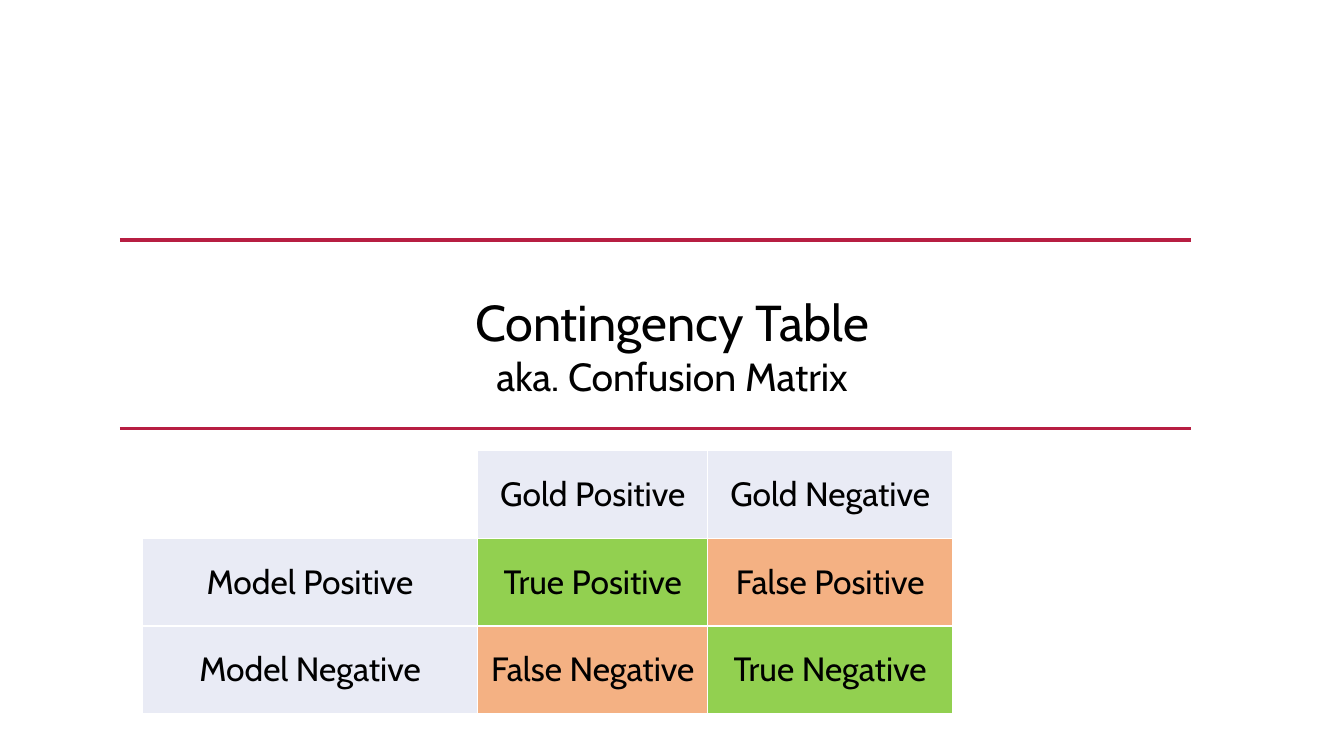
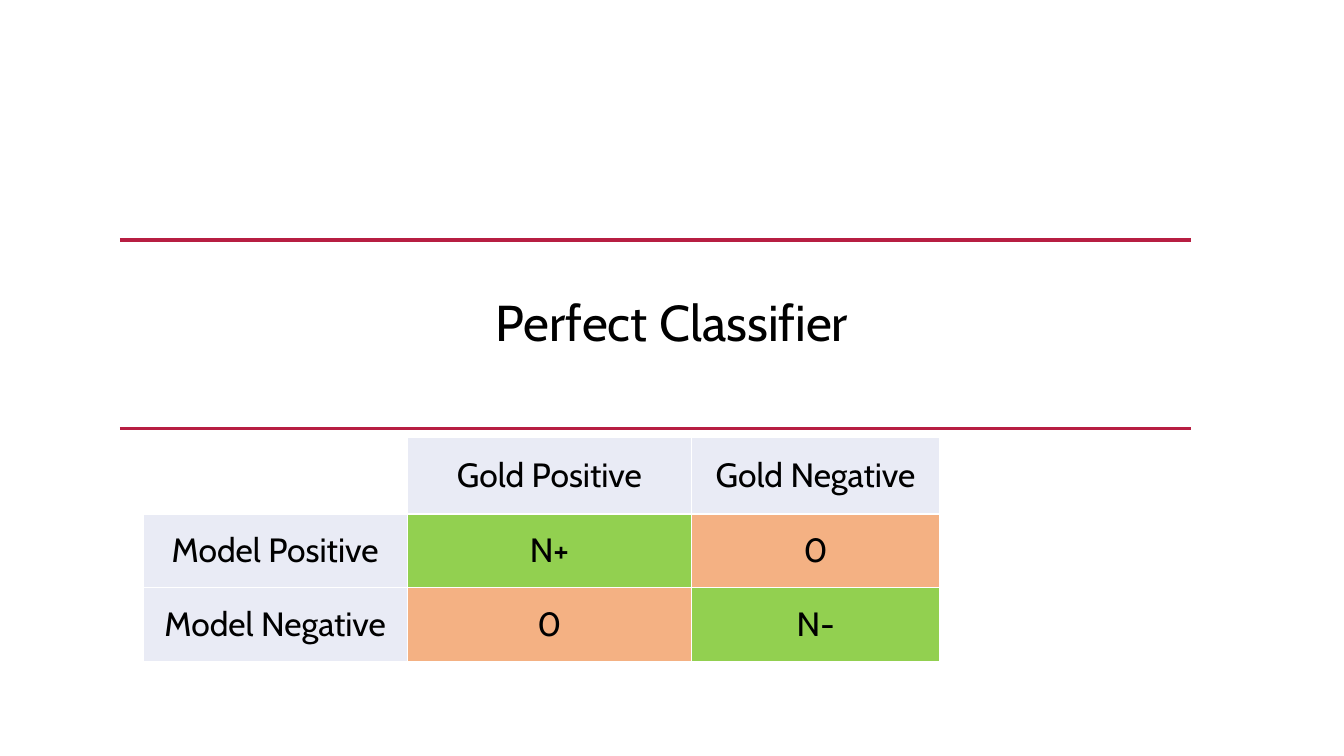
import pptx
import pptx.util
import pptx.dml.color
import pptx.enum.shapes
import pptx.enum.text
import pptx.oxml
import pptx.oxml.ns
import lxml.etree

RED, BLACK, WHITE = "B71E42", "000000", "FFFFFF"
HEAD, GOOD, BAD = "E9EBF5", "92D050", "F4B183"
GOLD = ["Gold Positive", "Gold Negative"]


def paint(code):
    return pptx.dml.color.RGBColor.from_string(code)


class Deck:
    font = "Cabin"
    rules = (31.73, 56.67)
    sides = (8.93, 88.6)

    def __init__(self):
        self.file = pptx.Presentation()
        self.file.slide_width = pptx.util.Inches(13.33)
        self.file.slide_height = pptx.util.Inches(7.5)
        self.slide = None

    def x(self, share):
        return round(self.file.slide_width * share / 100)

    def y(self, share):
        return round(self.file.slide_height * share / 100)

    def page(self, lines, tall):
        self.slide = self.file.slides.add_slide(self.file.slide_layouts[5])
        for level in self.rules:
            self.rule(level)
        self.title(lines, tall)

    def rule(self, level):
        left, right = self.sides
        line = self.slide.shapes.add_connector(
            pptx.enum.shapes.MSO_CONNECTOR.STRAIGHT,
            self.x(left), self.y(level), self.x(right), self.y(level))
        line.line.color.rgb = paint(RED)
        line.line.width = pptx.util.Pt(2.5)
        props = line._element.spPr
        lxml.etree.SubElement(props, pptx.oxml.ns.qn("a:effectLst"))

    def style(self, par, size):
        par.alignment = pptx.enum.text.PP_ALIGN.CENTER
        par.font.name = self.font
        par.font.size = pptx.util.Pt(size)
        par.font.color.rgb = paint(BLACK)

    def title(self, lines, tall):
        box = self.slide.shapes.title
        box.left, box.top = 0, self.y(37.87)
        box.width, box.height = self.x(100), self.y(tall)
        frame = box.text_frame
        frame.text = "\n".join(lines)
        frame.word_wrap = True
        frame.auto_size = pptx.enum.text.MSO_AUTO_SIZE.SHAPE_TO_FIT_TEXT
        frame.vertical_anchor = pptx.enum.text.MSO_ANCHOR.TOP
        for par, size in zip(frame.paragraphs, (36, 28)):
            self.style(par, size)

    def edge(self, cell):
        props = cell._tc.get_or_add_tcPr()
        for spot, side in enumerate("LRTB"):
            props.insert(spot, pptx.oxml.parse_xml(
                f'<a:ln{side} {pptx.oxml.ns.nsdecls("a")} w="12700">'
                f'<a:solidFill><a:srgbClr val="{WHITE}"/></a:solidFill>'
                f'</a:ln{side}>'))

    def cell(self, cell, text, fill):
        if text:
            cell.text = text
            cell.vertical_anchor = pptx.enum.text.MSO_ANCHOR.MIDDLE
            self.style(cell.text_frame.paragraphs[0], 24)
            cell.fill.solid()
            cell.fill.fore_color.rgb = paint(fill)
        else:
            cell.fill.background()
        self.edge(cell)

    def table(self, left, top, cols, rows, texts):
        table = self.slide.shapes.add_table(
            len(rows), len(cols), self.x(left), self.y(top),
            self.x(sum(cols)), self.y(sum(rows))).table
        table.first_row = table.horz_banding = False
        for col, share in zip(table.columns, cols):
            col.width = self.x(share)
        for row, share in zip(table.rows, rows):
            row.height = self.y(share)
        for r in range(len(rows)):
            for c in range(len(cols)):
                known = r < len(texts) and c < len(texts[r])
                text = texts[r][c] if known else ""
                fill = HEAD if 0 in (r, c) else GOOD if r == c else BAD
                self.cell(table.cell(r, c), text, fill)


def main():
    deck = Deck()
    deck.page(["Contingency Table", "aka. Confusion Matrix"], 15.73)
    deck.table(10.58, 59.6, [24.98, 17.1, 18.23], [11.6] * 3, [
        ["", *GOLD],
        ["Model Positive", "True Positive", "False Positive"],
        ["Model Negative", "False Negative", "True Negative"]])
    deck.page(["Perfect Classifier"], 9.47)
    deck.table(10.65, 57.87, [19.65, 21.16, 18.45, 26.48],
               [10.13] + [9.73] * 3, [
        ["", *GOLD],
        ["Model Positive", "N+", "0"],
        ["Model Negative", "0", "N-"]])
    deck.file.save("out.pptx")


if __name__ == "__main__":
    main()
